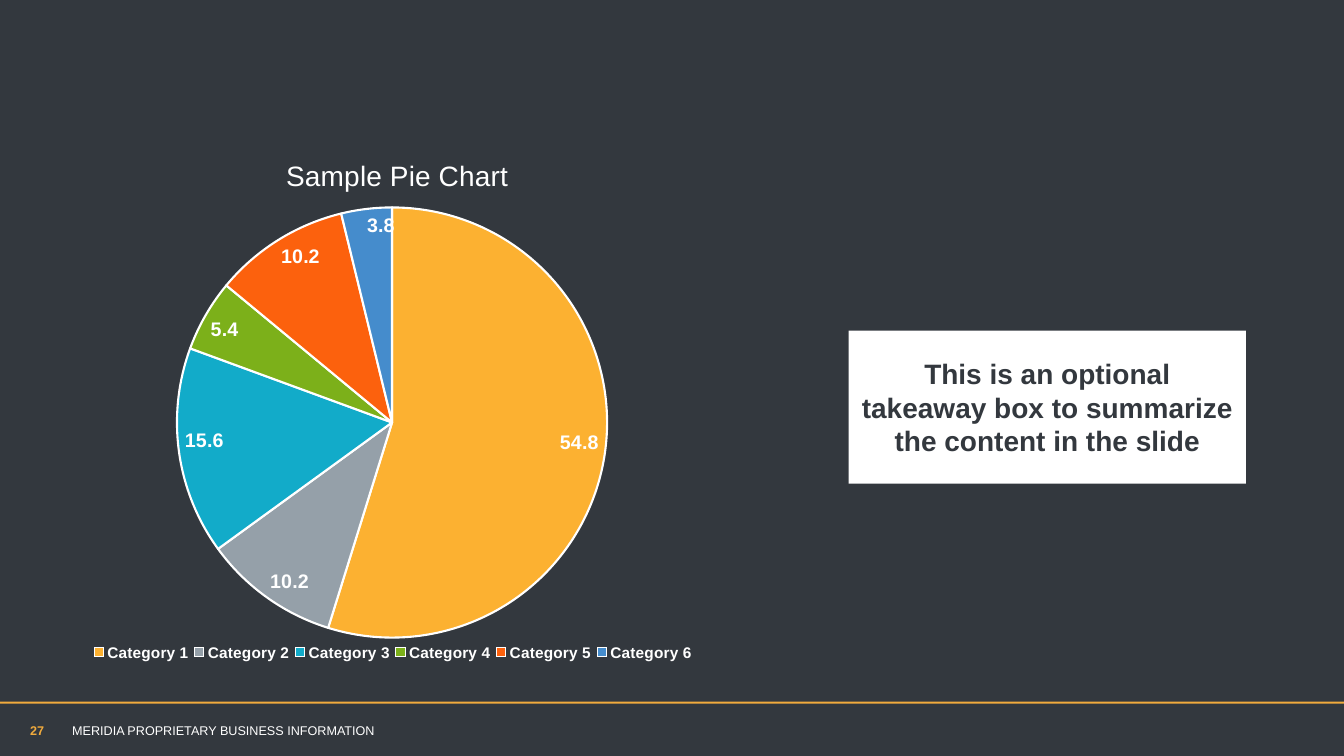
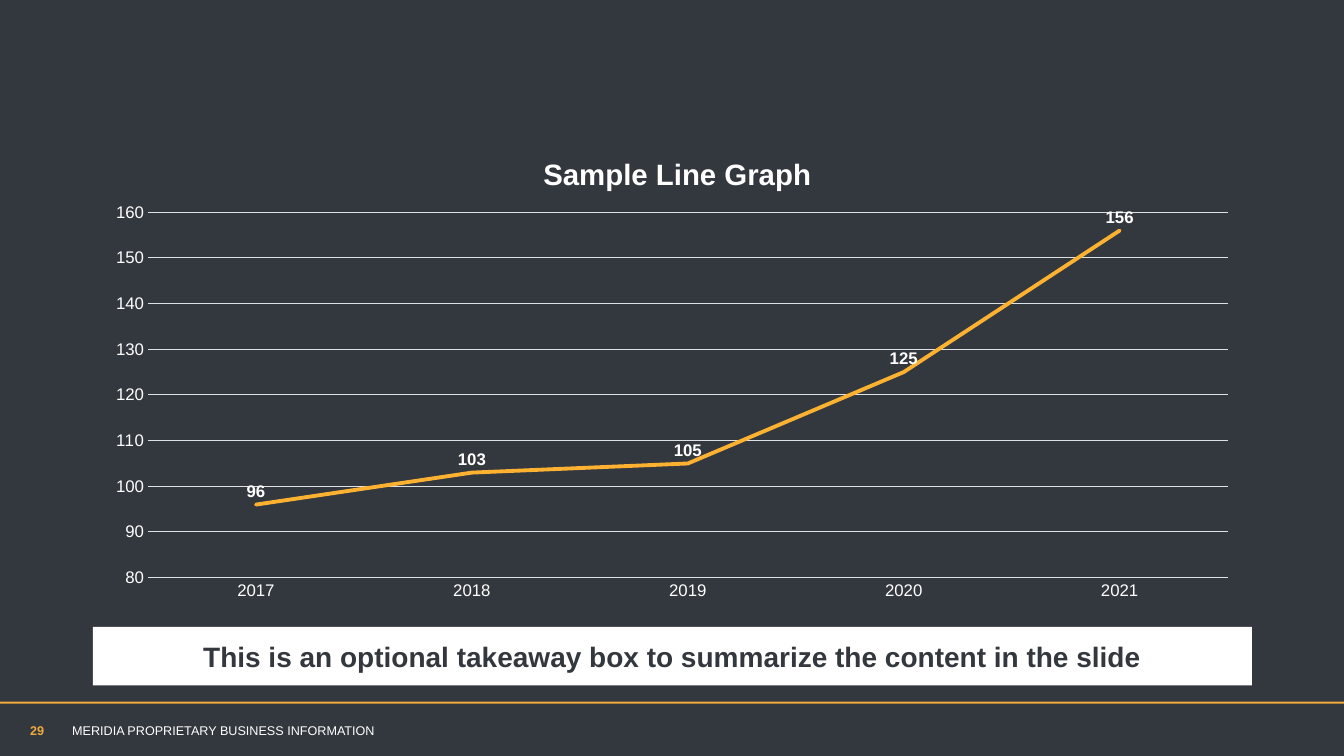
import lxml.etree
import pptx
import pptx.chart.data
import pptx.dml.color
import pptx.enum.chart
import pptx.enum.shapes
import pptx.enum.text
import pptx.oxml.ns
import pptx.util

Cm = pptx.util.Cm
Pt = pptx.util.Pt
qn = pptx.oxml.ns.qn

FONT = "Arial"
DARK, WHITE, GOLD, PALE = "33383E", "FFFFFF", "F1AB3D", "DEE1E4"
SLIDE_WIDTH, SLIDE_HEIGHT = 33.87, 19.05
FOOTER = "MERIDIA PROPRIETARY BUSINESS INFORMATION"
TAKEAWAY = "This is an optional takeaway box to summarize the content in the slide"

PIE = {
    "page": "27",
    "type": pptx.enum.chart.XL_CHART_TYPE.PIE,
    "frame": (2.18, 3.23, 15.42, 14.02),
    "plot": (4.46, 5.22, 10.84, 10.86),
    "title": ("Sample Pie Chart", 20, False, (7.08, 3.85)),
    "labels": (14, pptx.enum.chart.XL_LABEL_POSITION.INSIDE_END),
    "legend": (2.22, 16.15, 15.37, 0.58),
    "values": {"Category 1": 54.8, "Category 2": 10.2, "Category 3": 15.6,
               "Category 4": 5.4, "Category 5": 10.2, "Category 6": 3.8},
    "colors": ("FCB131", "95A0A9", "12ABC9", "7CB01A", "FC610D", "458CCC"),
    "takeaway": (21.39, 8.33, 10.01, 3.86),
}
LINE = {
    "page": "29",
    "type": pptx.enum.chart.XL_CHART_TYPE.LINE,
    "frame": (2.34, 3.25, 29.21, 12.12),
    "plot": (3.73, 5.35, 27.21, 9.21),
    "title": ("Sample Line Graph", 21, True, (13.56, 3.8)),
    "labels": (12, pptx.enum.chart.XL_LABEL_POSITION.ABOVE),
    "values": {"2017": 96, "2018": 103, "2019": 105, "2020": 125, "2021": 156},
    "colors": ("FCB131",),
    "takeaway": (2.34, 15.8, 29.21, 1.47),
}


def rgb(color):
    return pptx.dml.color.RGBColor.from_string(color)


def lengths(frame):
    return [Cm(value) for value in frame]


def style_font(font, size, color, bold=False):
    font.name = FONT
    font.size = Pt(size)
    font.bold = bold
    font.color.rgb = rgb(color)


def style_line(line, color, width):
    line.color.rgb = rgb(color)
    line.width = Pt(width)


def write(shape, text, size, color, bold=False, anchor="MIDDLE", align="LEFT"):
    shape.text_frame.word_wrap = True
    shape.text_frame.vertical_anchor = pptx.enum.text.MSO_ANCHOR[anchor]
    paragraph = shape.text_frame.paragraphs[0]
    paragraph.alignment = pptx.enum.text.PP_ALIGN[align]
    run = paragraph.add_run()
    run.text = text
    style_font(run.font, size, color, bold)


def add_rectangle(slide, frame, color):
    shape = slide.shapes.add_shape(
        pptx.enum.shapes.MSO_SHAPE.RECTANGLE, *lengths(frame))
    shape.shadow.inherit = False
    shape.fill.solid()
    shape.fill.fore_color.rgb = rgb(color)
    shape.line.fill.background()
    return shape


def add_base_slide(presentation, page):
    slide = presentation.slides.add_slide(presentation.slide_layouts[6])
    slide.background.fill.solid()
    slide.background.fill.fore_color.rgb = rgb(DARK)
    add_rectangle(slide, (0, 17.68, SLIDE_WIDTH, 0.05), GOLD)
    footer = slide.shapes.add_textbox(*lengths((1.57, 17.91, 10.9, 1.02)))
    write(footer, FOOTER, 9, WHITE)
    number = slide.shapes.add_textbox(*lengths((0.51, 18.08, 1.24, 1.02)))
    write(number, page, 9, GOLD, bold=True, anchor="TOP")
    return slide


def place(element, part, frame, inner=False):
    for old in element.findall(qn("c:layout")):
        element.remove(old)
    layout = lxml.etree.Element(qn("c:layout"))
    manual = lxml.etree.SubElement(layout, qn("c:manualLayout"))
    settings = [("layoutTarget", "inner")] if inner else []
    settings += [("xMode", "edge"), ("yMode", "edge")]
    left, top, width, height = frame
    fractions = ((part[0] - left) / width, (part[1] - top) / height)
    if len(part) == 4:
        fractions += (part[2] / width, part[3] / height)
    settings += zip("xywh", (f"{fraction:.4f}" for fraction in fractions))
    for name, value in settings:
        lxml.etree.SubElement(manual, qn(f"c:{name}")).set("val", value)
    overlay = element.find(qn("c:overlay"))
    if overlay is None:
        element.insert(0, layout)
    else:
        overlay.addprevious(layout)


def add_chart(slide, content):
    data = pptx.chart.data.CategoryChartData()
    data.categories = list(content["values"])
    data.add_series("Series 1", list(content["values"].values()))
    frame = content["frame"]
    chart = slide.shapes.add_chart(content["type"], *lengths(frame), data).chart
    style_font(chart.font, 10, DARK)
    text, size, bold, corner = content["title"]
    chart.has_title = True
    run = chart.chart_title.text_frame.paragraphs[0].add_run()
    run.text = text
    style_font(run.font, size, WHITE, bold)
    chart.chart_title.include_in_layout = False
    title = chart.element.find(".//" + qn("c:title"))
    place(title, corner, frame)
    place(chart.element.find(".//" + qn("c:plotArea")), content["plot"], frame, inner=True)
    chart.has_legend = "legend" in content
    plot = chart.plots[0]
    plot.has_data_labels = True
    labels = plot.data_labels
    labels.show_value = True
    size, labels.position = content["labels"]
    style_font(labels.font, size, WHITE, bold=True)
    return chart


def style_pie(chart, content):
    chart.plots[0].vary_by_categories = True
    for index, color in enumerate(content["colors"]):
        point = chart.series[0].points[index]
        point.format.fill.solid()
        point.format.fill.fore_color.rgb = rgb(color)
        style_line(point.format.line, WHITE, 1.5)
    legend = chart.legend
    legend.position = pptx.enum.chart.XL_LEGEND_POSITION.BOTTOM
    legend.include_in_layout = False
    style_font(legend.font, 11, WHITE, bold=True)
    place(chart.element.find(".//" + qn("c:legend")), content["legend"], content["frame"])


def style_graph(chart, content):
    chart.plots[0].vary_by_categories = False
    series = chart.series[0]
    series.smooth = False
    series.marker.style = pptx.enum.chart.XL_MARKER_STYLE.NONE
    style_line(series.format.line, content["colors"][0], 2.75)
    chart.element.find(".//" + qn("c:ser")).find(".//" + qn("a:ln")).set("cap", "rnd")
    for axis in (chart.category_axis, chart.value_axis):
        axis.major_tick_mark = pptx.enum.chart.XL_TICK_MARK.NONE
        axis.minor_tick_mark = pptx.enum.chart.XL_TICK_MARK.NONE
        style_font(axis.tick_labels.font, 12, WHITE)
    style_line(chart.category_axis.format.line, PALE, 1)
    values = chart.value_axis
    values.minimum_scale, values.maximum_scale, values.major_unit = 80, 160, 10
    values.format.line.fill.background()
    values.has_major_gridlines = True
    style_line(values.major_gridlines.format.line, PALE, 0.75)


def main():
    presentation = pptx.Presentation()
    presentation.slide_width = Cm(SLIDE_WIDTH)
    presentation.slide_height = Cm(SLIDE_HEIGHT)
    for content, style_chart in ((PIE, style_pie), (LINE, style_graph)):
        slide = add_base_slide(presentation, content["page"])
        style_chart(add_chart(slide, content), content)
        box = add_rectangle(slide, content["takeaway"], WHITE)
        write(box, TAKEAWAY, 20, DARK, bold=True, align="CENTER")
    presentation.save("out.pptx")


if __name__ == "__main__":
    main()
